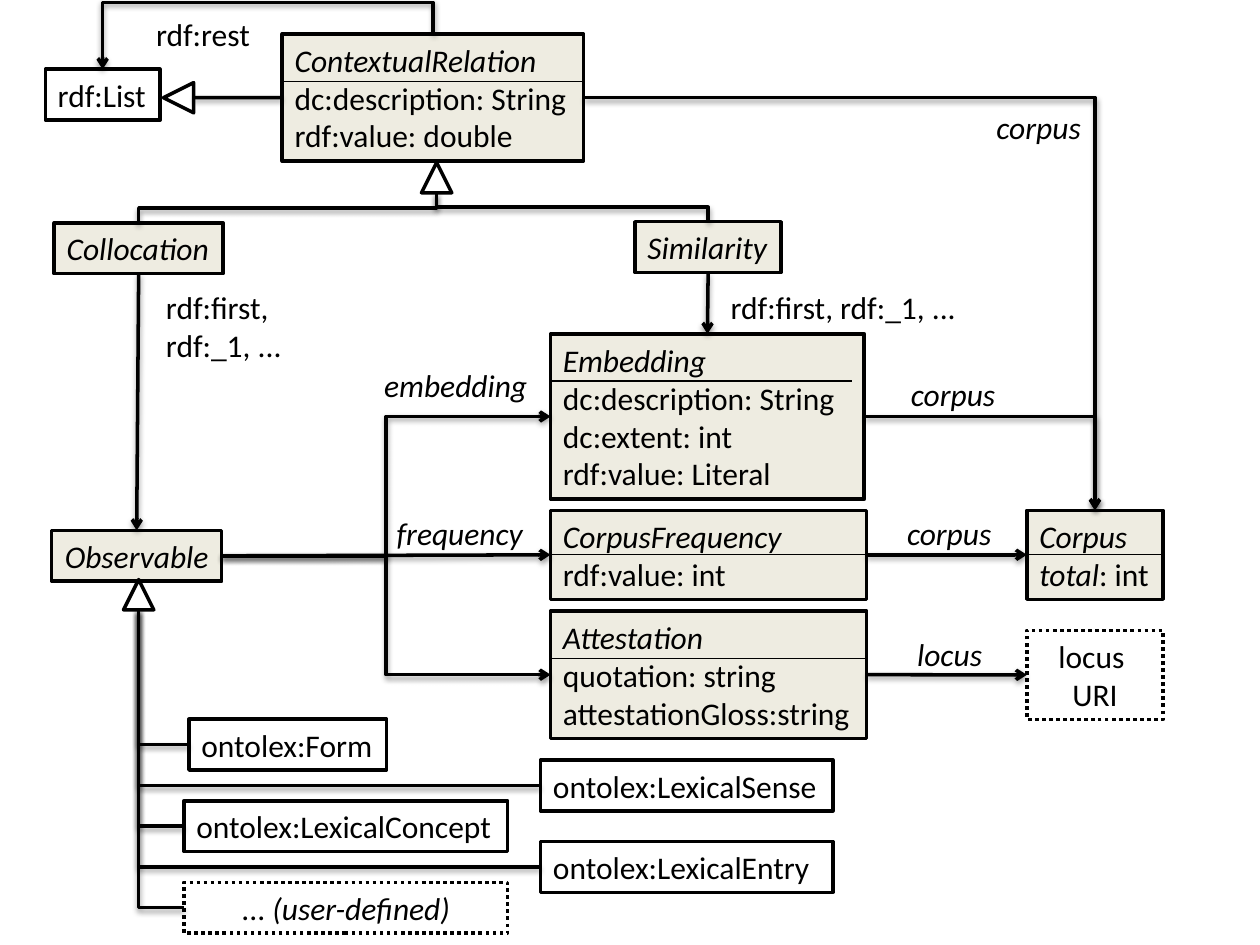
from dataclasses import dataclass

from lxml.etree import SubElement
from pptx import Presentation
from pptx.dml.color import RGBColor
from pptx.enum.dml import MSO_LINE
from pptx.enum.shapes import MSO_CONNECTOR, MSO_SHAPE
from pptx.enum.text import MSO_AUTO_SIZE, PP_ALIGN
from pptx.oxml.ns import qn
from pptx.util import Pt


@dataclass(frozen=True)
class Theme:
    ink: RGBColor = RGBColor(0, 0, 0)
    paper: RGBColor = RGBColor(255, 255, 255)
    sand: RGBColor = RGBColor(0xEE, 0xEC, 0xE1)
    font: str = "Calibri"
    size: Pt = Pt(18)
    stroke: Pt = Pt(2)
    hairline: Pt = Pt(0.75)


THEME = Theme()
TOP, LEFT, BOTTOM, RIGHT = range(4)
ARROWHEAD_SIZE = 17.3


def text_height(line_count):
    return Pt(7.27 + 21.81 * line_count)


def write(shape, lines, align, wrap):
    frame = shape.text_frame
    frame.word_wrap = wrap
    frame.auto_size = MSO_AUTO_SIZE.SHAPE_TO_FIT_TEXT
    for number, line in enumerate(lines):
        paragraph = frame.add_paragraph() if number else frame.paragraphs[0]
        paragraph.alignment = align
        paragraph.font.name = THEME.font
        paragraph.font.size = THEME.size
        paragraph.font.color.rgb = THEME.ink
        pieces = [(text, index % 2 == 1) for index, text in enumerate(line.split("*")) if text]
        for text, italic in pieces:
            run = paragraph.add_run()
            run.text = text
            font = paragraph.font if len(pieces) == 1 else run.font
            font.italic = italic


def outline(shape, fill):
    shape.shadow.inherit = False
    if fill is None:
        shape.fill.background()
    else:
        shape.fill.solid()
        shape.fill.fore_color.rgb = fill
    shape.line.color.rgb = THEME.ink
    shape.line.width = THEME.stroke


def add_node(slide, x, y, width, *lines, fill=THEME.sand, align=PP_ALIGN.LEFT, wrap=False):
    node = slide.shapes.add_shape(
        MSO_SHAPE.RECTANGLE, Pt(x), Pt(y), Pt(width), text_height(len(lines)))
    outline(node, fill)
    if fill is None:
        node.line.dash_style = MSO_LINE.ROUND_DOT
    write(node, lines, align, wrap)
    return node


def add_label(slide, x, y, width, *lines):
    label = slide.shapes.add_textbox(Pt(x), Pt(y), Pt(width), text_height(len(lines)))
    write(label, lines, PP_ALIGN.LEFT, False)


def add_triangle(slide, x, y, rotation=0):
    triangle = slide.shapes.add_shape(
        MSO_SHAPE.ISOSCELES_TRIANGLE, Pt(x), Pt(y), Pt(ARROWHEAD_SIZE), Pt(ARROWHEAD_SIZE))
    triangle.rotation = rotation
    outline(triangle, THEME.paper)


def side(node, site):
    return {
        TOP: (node.left + node.width // 2, node.top),
        LEFT: (node.left, node.top + node.height // 2),
        BOTTOM: (node.left + node.width // 2, node.top + node.height),
        RIGHT: (node.left + node.width, node.top + node.height // 2),
    }[site]


def add_line(slide, begin, end, kind=MSO_CONNECTOR.STRAIGHT, arrow=False, thin=False):
    line = slide.shapes.add_connector(kind, *begin, *end)
    line.line.color.rgb = THEME.ink
    line.line.width = THEME.hairline if thin else THEME.stroke
    if arrow:
        SubElement(line.line._get_or_add_ln(), qn("a:tailEnd"), type="arrow")
    effects = SubElement(line._element.spPr, qn("a:effectLst"))
    if not thin:
        shadow = SubElement(effects, qn("a:outerShdw"), blurRad="40000", dist="20000",
                            dir="5400000", rotWithShape="0")
        color = SubElement(shadow, qn("a:srgbClr"), val="000000")
        SubElement(color, qn("a:alpha"), val="38000")
    return line


def join(slide, source, source_site, target, target_site, arrow=True, thin=False):
    line = add_line(slide, side(source, source_site), side(target, target_site),
                    arrow=arrow, thin=thin)
    line.begin_connect(source, source_site)
    line.end_connect(target, target_site)


def add_corner(slide, begin, end, arrow=False):
    line = add_line(slide, begin, end, MSO_CONNECTOR.ELBOW, arrow)
    line._element.spPr.find(qn("a:prstGeom")).set("prst", "bentConnector2")


def add_drop(slide, begin, end, bend=0.5, arrow=False):
    (x1, y1), (x2, y2) = begin, end
    center_x, center_y = (x1 + x2) // 2, (y1 + y2) // 2
    half_length, half_span = (y2 - y1) // 2, abs(x2 - x1) // 2
    rightward = x2 > x1
    reach = -half_length if rightward else half_length
    line = add_line(slide, (center_x - reach, center_y - half_span),
                    (center_x + reach, center_y + half_span), MSO_CONNECTOR.ELBOW, arrow)
    line._element.spPr.xfrm.rot = 270 if rightward else 90
    guides = line._element.spPr.find(qn("a:prstGeom")).get_or_add_avLst()
    SubElement(guides, qn("a:gd"), name="adj1", fmla=f"val {round(bend * 100000)}")


def add_divider(slide, node, inset=0):
    y = node.top + Pt(27)
    add_line(slide, (node.left, y), (node.left + node.width - Pt(inset), y), thin=True)


def add_observable_tree(slide):
    observable = add_node(slide, 29.5, 303.1, 97.2, "*Observable*", align=PP_ALIGN.CENTER)
    add_triangle(slide, 70.6, 331.2)
    trunk = Pt(79.2), Pt(348.5)
    kinds = [
        (108, 113, "ontolex:Form", THEME.paper, PP_ALIGN.LEFT),
        (308.9, 167, "ontolex:LexicalSense", THEME.paper, PP_ALIGN.LEFT),
        (105.1, 185, "ontolex:LexicalConcept", THEME.paper, PP_ALIGN.LEFT),
        (308.9, 167, "ontolex:LexicalEntry", THEME.paper, PP_ALIGN.LEFT),
        (105.1, 185, "... *(user-defined)*", None, PP_ALIGN.CENTER),
    ]
    for row, (x, width, name, fill, align) in enumerate(kinds):
        kind = add_node(slide, x, 411 + 23.3 * row, width, name, fill=fill, align=align,
                        wrap=row >= 3)
        add_corner(slide, side(kind, LEFT), trunk)
    return observable


def add_relations(slide):
    rdf_list = add_node(slide, 25.9, 39.6, 65.5, "rdf:List", fill=THEME.paper)
    relation = add_node(slide, 161.3, 19.4, 172.1, "*ContextualRelation*",
                        "dc:description: String", "rdf:value: double")
    add_divider(slide, relation)
    add_triangle(slide, 93.4, 47.2, 270)
    inherits = add_line(slide, (Pt(110.7), Pt(55.8)), side(relation, LEFT))
    inherits.end_connect(relation, LEFT)
    add_drop(slide, side(relation, TOP), side(rdf_list, TOP), -0.89, arrow=True)

    collocation = add_node(slide, 31, 127.4, 96.5, "*Collocation*")
    similarity = add_node(slide, 362.9, 126.7, 83.5, "*Similarity*")
    add_triangle(slide, 240.9, 92.9)
    for subclass in (collocation, similarity):
        add_drop(slide, (Pt(249.5), Pt(110.2)), side(subclass, TOP))
    return relation, collocation, similarity


def main():
    presentation = Presentation()
    presentation.slide_width, presentation.slide_height = Pt(720), Pt(540)
    slide = presentation.slides.add_slide(presentation.slide_layouts[6])

    observable = add_observable_tree(slide)
    relation, collocation, similarity = add_relations(slide)
    embedding = add_node(slide, 314.6, 190.8, 179.3, "*Embedding*", "dc:description: String",
                         "dc:extent: int", "rdf:value: Literal", wrap=True)
    frequency = add_node(slide, 314.6, 291.6, 180.7, "*CorpusFrequency*", "rdf:value: int",
                         wrap=True)
    attestation = add_node(slide, 314.6, 349.2, 180.7, "*Attestation*", "quotation: string",
                           "attestationGloss:string")
    corpus = add_node(slide, 586.8, 291.6, 77.8, "*Corpus*", "*total*: int")
    locus = add_node(slide, 586.8, 360.2, 77.8, "locus ", "URI", fill=None,
                     align=PP_ALIGN.CENTER, wrap=True)

    add_divider(slide, embedding, inset=7.2)
    add_divider(slide, attestation)
    for node in (frequency, corpus):
        join(slide, node, LEFT, node, RIGHT, arrow=False, thin=True)

    join(slide, collocation, BOTTOM, observable, TOP)
    join(slide, similarity, BOTTOM, embedding, TOP)
    join(slide, observable, RIGHT, frequency, LEFT)
    join(slide, frequency, RIGHT, corpus, LEFT)
    join(slide, attestation, RIGHT, locus, LEFT)
    for target in (embedding, attestation):
        add_line(slide, side(observable, RIGHT), side(target, LEFT), MSO_CONNECTOR.ELBOW,
                 arrow=True)
    for source in (embedding, relation):
        add_corner(slide, side(source, RIGHT), side(corpus, TOP), arrow=True)

    add_label(slide, 82.1, 5, 68.4, "rdf:rest")
    add_label(slide, 87.8, 161.3, 81.4, "rdf:first,", "rdf:_1, ...")
    add_label(slide, 410.4, 161.3, 146, "rdf:first, rdf:_1, ...")
    add_label(slide, 212.4, 205.9, 97.2, "*embedding*")
    add_label(slide, 219.6, 290.2, 89.3, "*frequency*")
    add_label(slide, 517, 359.3, 52.6, "*locus*")
    for x, y in ((562.3, 58.3), (513.4, 211), (511.2, 290.2)):
        add_label(slide, x, y, 64.1, "*corpus*")

    presentation.save("out.pptx")


if __name__ == "__main__":
    main()
